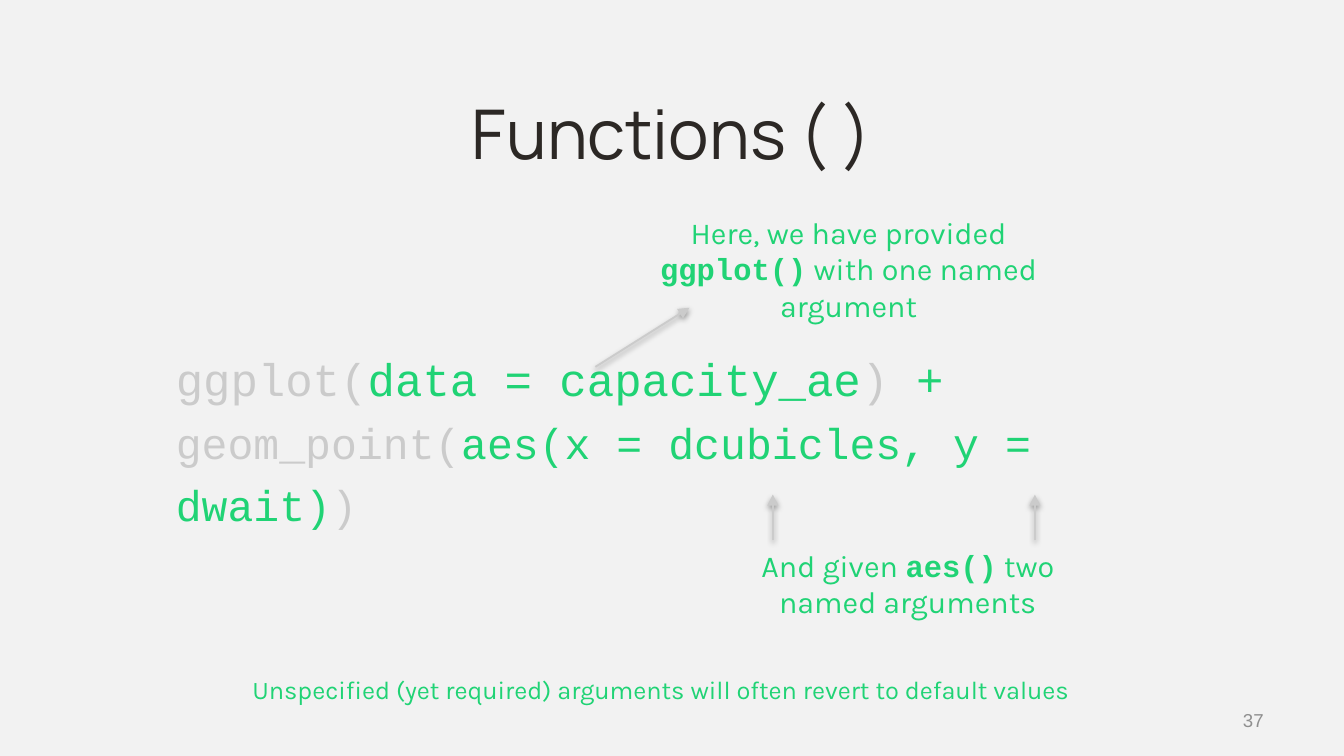
from pptx import Presentation
from pptx.dml.color import RGBColor
from pptx.enum.shapes import MSO_CONNECTOR
from pptx.enum.text import MSO_ANCHOR, PP_ALIGN
from pptx.oxml import parse_xml
from pptx.oxml.ns import nsdecls
from pptx.util import Inches, Pt

LEFT, MID, RIGHT = PP_ALIGN.LEFT, PP_ALIGN.CENTER, PP_ALIGN.RIGHT
TOP, CENTER, BASE = MSO_ANCHOR.TOP, MSO_ANCHOR.MIDDLE, MSO_ANCHOR.BOTTOM
LINE = MSO_CONNECTOR.STRAIGHT
HUES = {"back": "F2F2F2", "dark": "2C2825", "green": "20D375",
        "pale": "CBCBCB", "gray": "8F8F8F"}
MONO, SANS = "Courier New", "Karla"

# Content: a run is its text and what differs from the box format
TITLE = [("Functions ( )", {})]
PALE = {"hue": "pale"}
SMALL = {"size": 23.1}
CODE = [
    ("ggplot(", PALE),
    ("data = capacity_ae", {}),
    (") ", PALE),
    ("+ ", {}),
    ("geom_point(", {**PALE, **SMALL}),
    ("aes(x = dcubicles, y = dwait)", SMALL),
    (")", {**PALE, **SMALL}),
]
NAME = {"font": MONO, "bold": True}
NOTES = [
    ((4.78, 1.54, 3.07, 0.92), 16.3,
     [("Here, we have provided ", {}), ("ggplot()", NAME),
      (" with one named argument", {})]),
    ((5.22, 4.02, 3.07, 0.65), 16.3,
     [("And given ", {}), ("aes()", NAME), (" two named arguments", {})]),
    ((1.21, 4.97, 7.41, 0.33), 13.6,
     [("Unspecified (yet required) arguments will often revert "
       "to default values", {})]),
]
ARROWS = [(4.43, 2.73, 5.13, 2.29)] + [(x, 4.02, x, 3.68) for x in (5.75, 7.7)]

# Slide of 16 by 9
deck = Presentation()
deck.slide_width = Inches(10)
deck.slide_height = Inches(10 * 9 / 16)
slide = deck.slides.add_slide(deck.slide_layouts[6])


def color(name):
    return RGBColor.from_string(HUES[name])


def write(runs, place, size, font=SANS, hue="green", align=MID, anchor=TOP,
          pad=(0.1, 0.05, 0.1, 0.05), lead=None):
    box = slide.shapes.add_textbox(*map(Inches, place))
    frame = box.text_frame
    frame.word_wrap = True
    frame.vertical_anchor = anchor
    (frame.margin_left, frame.margin_top,
     frame.margin_right, frame.margin_bottom) = map(Inches, pad)
    para = frame.paragraphs[0]
    para.alignment = align
    if lead:
        para.line_spacing = lead
    for text, own in runs:
        look = {"size": size, "font": font, "hue": hue, "bold": False, **own}
        run = para.add_run()
        run.text = text
        run.font.size = Pt(look["size"])
        run.font.name = look["font"]
        run.font.bold = look["bold"]
        run.font.color.rgb = color(look["hue"])


def arrow(x1, y1, x2, y2):
    link = slide.shapes.add_connector(LINE, *map(Inches, (x1, y1, x2, y2)))
    link.line.color.rgb = color("pale")
    link.line.width = Pt(1)
    link.line._get_or_add_ln().append(
        parse_xml(f'<a:tailEnd {nsdecls("a")} type="triangle"/>'))
    link._element.spPr.append(parse_xml(
        f'<a:effectLst {nsdecls("a")}><a:outerShdw blurRad="{Pt(3.1)}" '
        f'dist="{Pt(1.6)}" dir="5400000" rotWithShape="0">'
        '<a:srgbClr val="000000"><a:alpha val="38000"/></a:srgbClr>'
        '</a:outerShdw></a:effectLst>'))


# Background
slide.background.fill.solid()
slide.background.fill.fore_color.rgb = color("back")

# Title, code and page number
write(TITLE, (1.52, 0.83, 6.96, 0.54), 36.7, font="Manrope", hue="dark",
      anchor=BASE, pad=(0.08,) * 4)
write(CODE, (1.21, 1.52, 7.6, 3.7), 24.5, font=MONO, align=LEFT,
      pad=(0.1, 1.01, 0.1, 0.05), lead=1.2)
write([("37", {})], (8.49, 5.21, 1.01, 0.3), 10, font="Arial", hue="gray",
      align=RIGHT, anchor=CENTER)

# Notes and arrows
for place, size, runs in NOTES:
    write(runs, place, size)
for ends in ARROWS:
    arrow(*ends)

deck.save("out.pptx")
